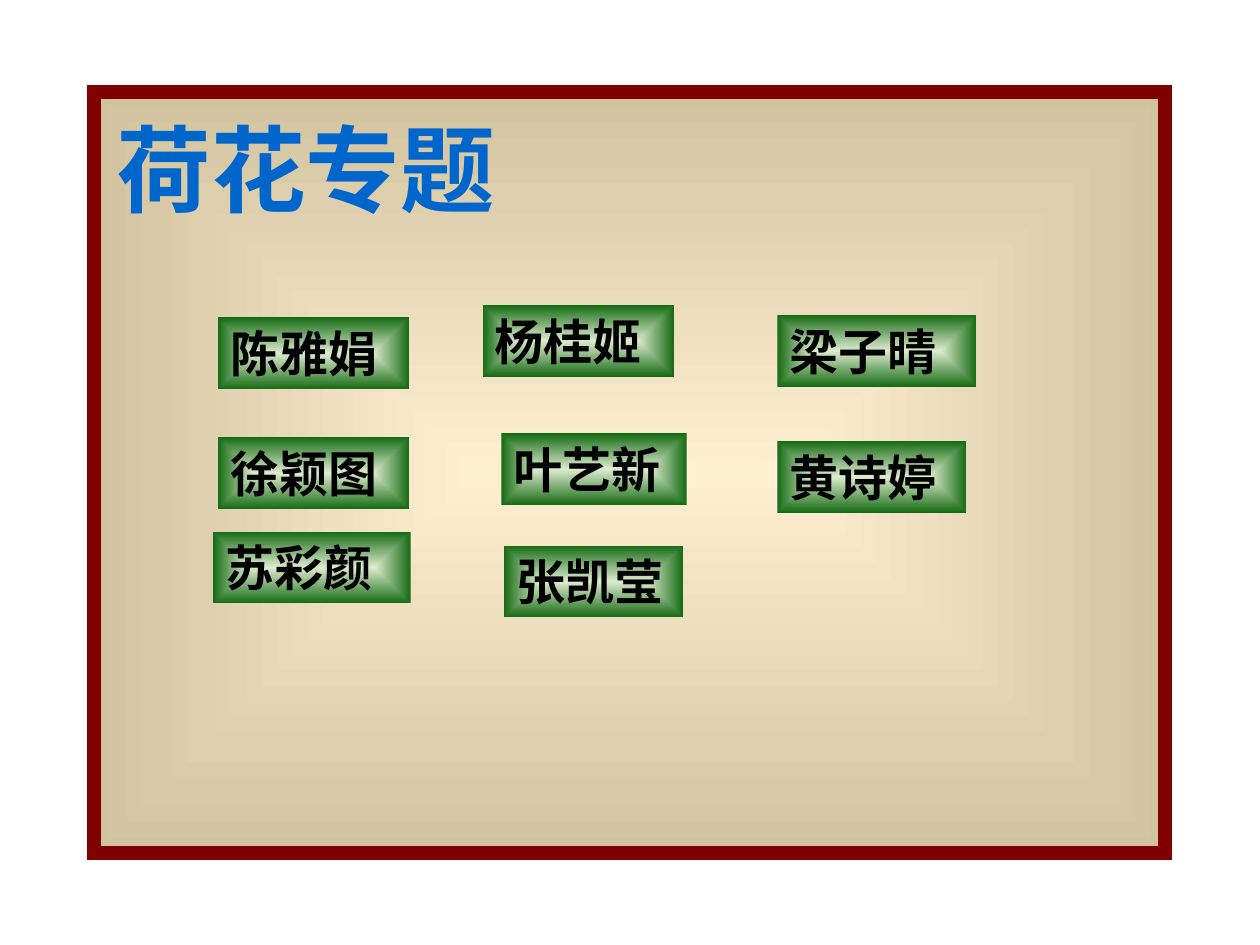
from lxml import etree
from pptx import Presentation
from pptx.dml.color import RGBColor
from pptx.enum.lang import MSO_LANGUAGE_ID
from pptx.enum.shapes import MSO_SHAPE
from pptx.enum.text import MSO_ANCHOR, PP_ALIGN
from pptx.oxml.ns import qn
from pptx.util import Inches, Pt

RECTANGLE = MSO_SHAPE.RECTANGLE
TOP = MSO_ANCHOR.TOP
LEFT = PP_ALIGN.LEFT
CHINESE = MSO_LANGUAGE_ID.SIMPLIFIED_CHINESE

COLORS = {
    "paper_center": "FFEFD1",
    "paper_edge": "D1C39F",
    "frame": "800000",
    "title": "0066CC",
    "title_outline": "99CCFF",
    "label_center": "DDEBCF",
    "label_edge": "156B13",
    "label_text": "000000",
}
CHINESE_FONT = "Noto Sans CJK SC"
LABEL_FONT = "Times New Roman"
LABEL_HEIGHT = 0.57

# name, left, top, width
LABELS = [
    ("陈雅娟", 1.73, 2.52, 1.52),
    ("张凯莹", 4, 4.33, 1.42),
    ("梁子晴", 6.17, 2.5, 1.58),
    ("徐颖图", 1.73, 3.47, 1.52),
    ("叶艺新", 3.98, 3.44, 1.47),
    ("杨桂姬", 3.83, 2.42, 1.52),
    ("苏彩颜", 1.69, 4.22, 1.57),
    ("黄诗婷", 6.17, 3.5, 1.5),
]


def rgb(name):
    return RGBColor.from_string(COLORS[name])


def write_text(shape, text, *, size, font, color, wrap=True, outline=None):
    frame = shape.text_frame
    frame.word_wrap = wrap
    frame.vertical_anchor = TOP
    paragraph = frame.paragraphs[0]
    paragraph.alignment = LEFT
    run = paragraph.add_run()
    run.text = text
    run.font.size = Pt(size)
    run.font.bold = True
    run.font.name = font
    run.font.language_id = CHINESE
    run.font.color.rgb = rgb(color)
    properties = run.font._element
    properties.find(qn("a:latin")).addnext(
        etree.Element(qn("a:ea"), typeface=CHINESE_FONT))
    if outline:
        line = etree.Element(qn("a:ln"), w=str(Pt(1.5)))
        fill = etree.SubElement(line, qn("a:solidFill"))
        etree.SubElement(fill, qn("a:srgbClr"), val=COLORS[outline])
        properties.insert(0, line)


def fill_from_center(shape, center, edge):
    """Fill with a rectangular gradient spreading from the middle."""
    shape.fill.gradient()
    stops = shape.fill.gradient_stops
    for stop, position, color in zip(stops, (0, 1), (center, edge)):
        stop.position = position
        stop.color.rgb = rgb(color)
    gradient = shape._element.spPr.find(qn("a:gradFill"))
    direction = etree.Element(qn("a:path"), path="rect")
    etree.SubElement(direction, qn("a:fillToRect"),
                     l="50000", t="50000", r="50000", b="50000")
    gradient.replace(gradient.find(qn("a:lin")), direction)


class SlideBuilder:
    def __init__(self, slide):
        self.slide = slide

    def rectangle(self, left, top, width, height, center, edge):
        shape = self.slide.shapes.add_shape(
            RECTANGLE, Inches(left), Inches(top), Inches(width), Inches(height))
        shape.shadow.inherit = False
        fill_from_center(shape, center, edge)
        shape.line.fill.background()
        return shape

    def framed_paper(self, left, top, width, height):
        """Draw the paper with a thick, square-cornered frame."""
        shape = self.rectangle(left, top, width, height,
                               "paper_center", "paper_edge")
        shape.line.color.rgb = rgb("frame")
        shape.line.width = Pt(8)
        line = shape._element.spPr.find(qn("a:ln"))
        etree.SubElement(line, qn("a:miter"), lim="800000")

    def title(self, text, left, top, width, height):
        box = self.slide.shapes.add_textbox(
            Inches(left), Inches(top), Inches(width), Inches(height))
        write_text(box, text, size=54, font=CHINESE_FONT, color="title",
                   wrap=False, outline="title_outline")

    def name_label(self, text, left, top, width):
        shape = self.rectangle(left, top, width, LABEL_HEIGHT,
                               "label_center", "label_edge")
        write_text(shape, text, size=28, font=LABEL_FONT, color="label_text")


def main():
    presentation = Presentation()
    presentation.slide_width = Inches(10)
    presentation.slide_height = Inches(7.5)
    slide = presentation.slides.add_slide(presentation.slide_layouts[6])
    builder = SlideBuilder(slide)
    builder.framed_paper(0.75, 0.73, 8.5, 6.04)
    builder.title("荷花专题", 0.83, 0.83, 3.25, 0.75)
    for label in LABELS:
        builder.name_label(*label)
    presentation.save("out.pptx")


if __name__ == "__main__":
    main()
